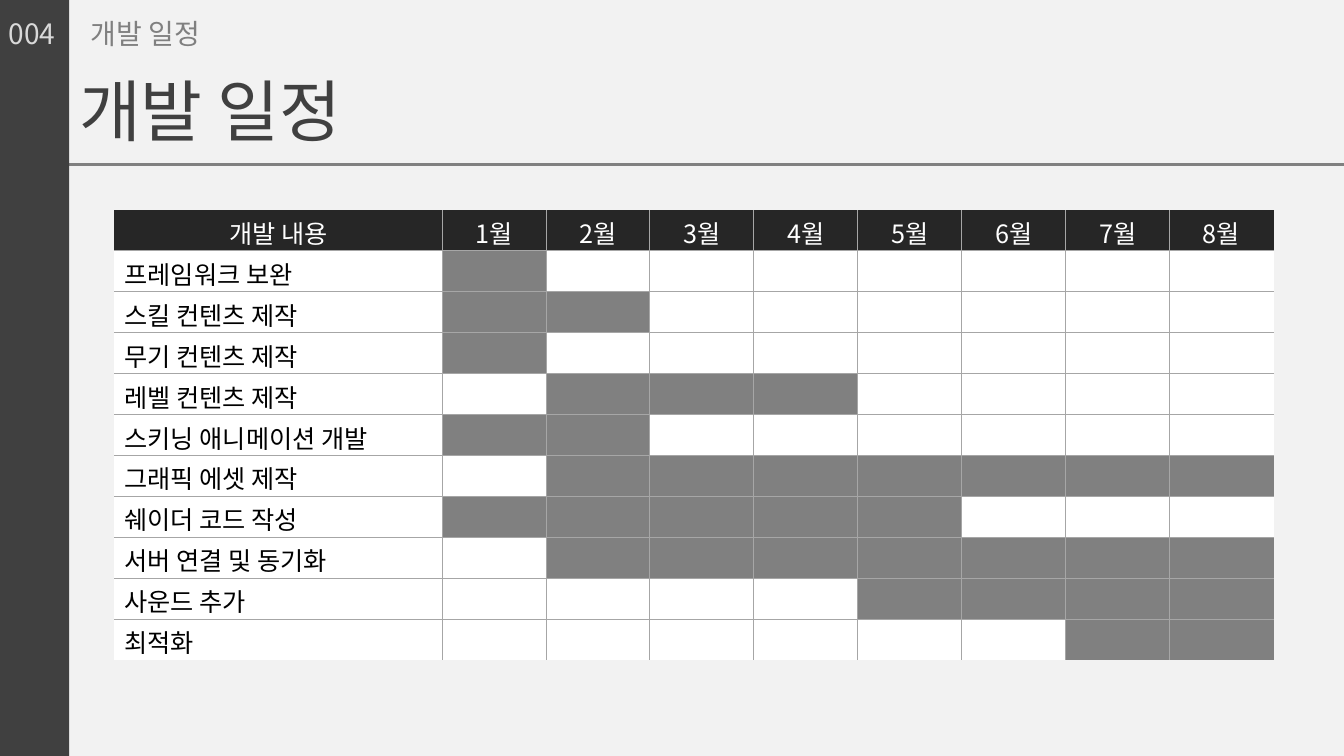
from lxml import etree
from pptx import Presentation
from pptx import util as u
from pptx.dml.color import RGBColor
from pptx.enum import shapes, text
from pptx.oxml.ns import qn

PX = 9525
theme = {
    "font": "Noto Sans CJK KR",
    "back": "F2F2F2", "dark": "404040", "gray": "808080", "pale": "D9D9D9",
    "head": "262626", "white": "FFFFFF", "black": "000000", "grid": "A6A6A6",
    "title": 48, "label": 20, "cell": 18,
}


def paint(fill, tone):
    fill.solid()
    fill.fore_color.rgb = RGBColor.from_string(theme[tone])


def write(para, words, size, tone):
    run = para.add_run()
    run.text = words
    paint(run.font.fill, tone)
    for key, val in {"size": u.Pt(theme[size]), "name": theme["font"]}.items():
        setattr(run.font, key, val)
    east = etree.SubElement(run.font._element, qn("a:ea"))
    east.set("typeface", theme["font"])


deck = Presentation()
deck.slide_width, deck.slide_height = 1280 * PX, 720 * PX
slide = deck.slides.add_slide(deck.slide_layouts[6])
paint(slide.background.fill, "back")

rule = slide.shapes.add_connector(
    shapes.MSO_CONNECTOR.STRAIGHT, 0, 157 * PX, 1280 * PX, 157 * PX)
paint(rule.line.fill, "gray")
rule.line.width = u.Pt(2.25)
etree.SubElement(rule._element.spPr, qn("a:effectLst"))

side = slide.shapes.add_shape(
    shapes.MSO_SHAPE.RECTANGLE, 0, 0, 66 * PX, 720 * PX)
paint(side.fill, "dark")
side.line.fill.background()
side.shadow.inherit = False

labels = [
    ("개발 일정", (66, 61, 291, 87), "title", "dark"),
    ("004", (-1, 11, 70, 42), "label", "pale"),
    ("개발 일정", (77, 11, 132, 42), "label", "gray"),
]
for words, place, size, tone in labels:
    frame = slide.shapes.add_textbox(*[n * PX for n in place]).text_frame
    frame.word_wrap = False
    frame.auto_size = text.MSO_AUTO_SIZE.SHAPE_TO_FIT_TEXT
    write(frame.paragraphs[0], words, size, tone)

tasks = [
    ("프레임워크 보완", 1, 1),
    ("스킬 컨텐츠 제작", 1, 2),
    ("무기 컨텐츠 제작", 1, 1),
    ("레벨 컨텐츠 제작", 2, 4),
    ("스키닝 애니메이션 개발", 1, 2),
    ("그래픽 에셋 제작", 2, 8),
    ("쉐이더 코드 작성", 1, 5),
    ("서버 연결 및 동기화", 2, 8),
    ("사운드 추가", 5, 8),
    ("최적화", 7, 8),
]
months = 8
rows, cols = len(tasks) + 1, months + 1
wide, step, high = 312, 99, 39
table = slide.shapes.add_table(
    rows, cols, 109 * PX, 200 * PX,
    (wide + months * step) * PX, rows * high * PX).table
table.first_row = table.horz_banding = False
style = table._tbl.tblPr.find(qn("a:tableStyleId"))
style.text = "{2D5ABB26-0587-4C30-8999-92F81FD0307C}"
for c, col in enumerate(table.columns):
    col.width = (step if c else wide) * PX
for row in table.rows:
    row.height = high * PX

for r in range(rows):
    for c in range(cols):
        cell = table.cell(r, c)
        cell.margin_top, cell.margin_bottom = 4 * PX, 0
        para = cell.text_frame.paragraphs[0]
        if r == 0:
            fill = "head"
            para.alignment = text.PP_ALIGN.CENTER
            write(para, f"{c}월" if c else "개발 내용", "cell", "white")
        else:
            name, start, end = tasks[r - 1]
            fill = "gray" if start <= c <= end else "white"
            if c == 0:
                write(para, name, "cell", "black")
            else:
                para.font.size = u.Pt(theme["cell"])
        paint(cell.fill, fill)
        inner = {"L": c > 0, "R": c < cols - 1, "T": r > 0, "B": r < rows - 1}
        edges = [edge for edge, shown in inner.items() if shown]
        for spot, edge in enumerate(edges):
            line = etree.Element(qn(f"a:ln{edge}"), w=str(u.Pt(0.75)))
            solid = etree.SubElement(line, qn("a:solidFill"))
            etree.SubElement(solid, qn("a:srgbClr"), val=theme["grid"])
            cell._tc.tcPr.insert(spot, line)

deck.save("out.pptx")
